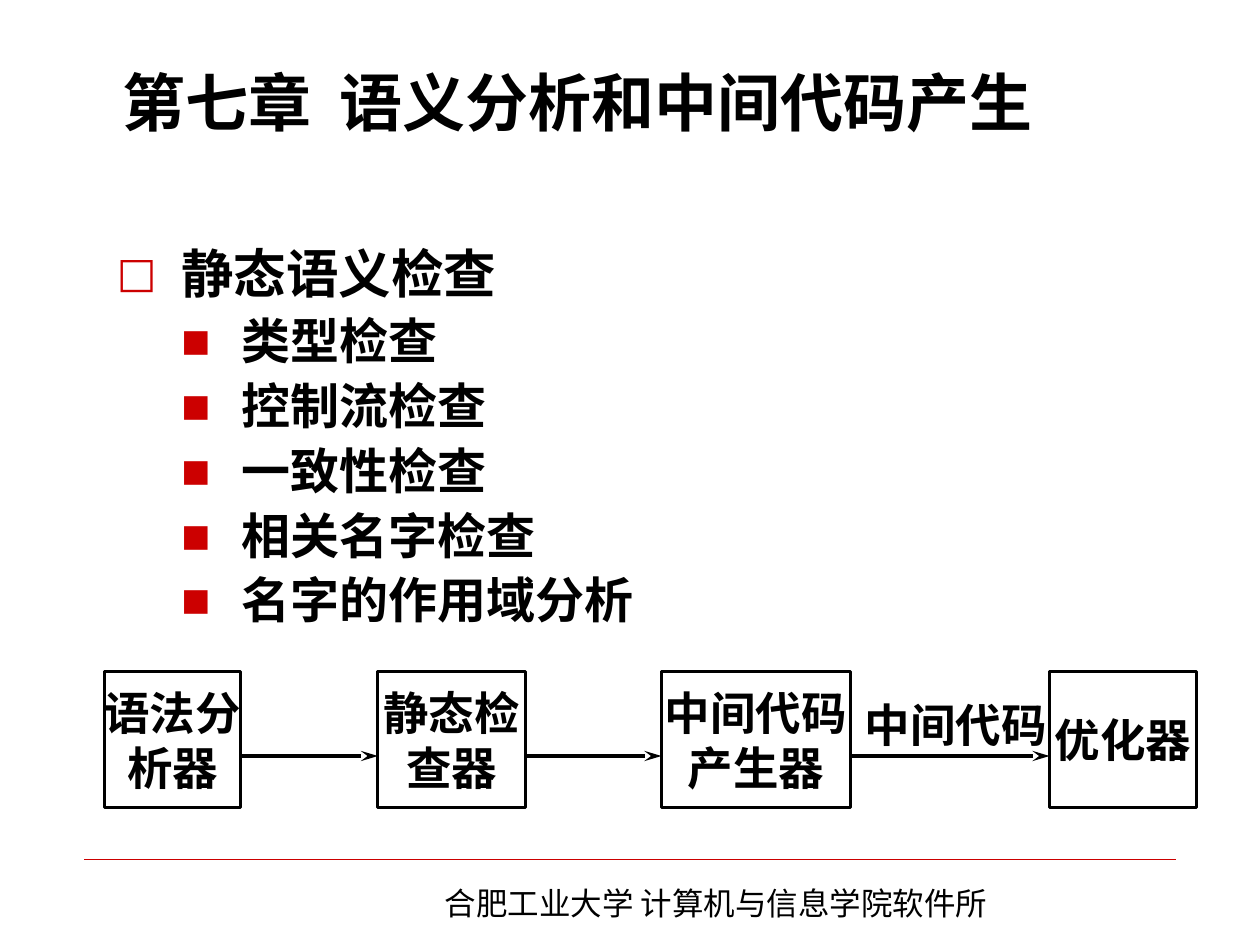
from lxml import etree
from pptx import Presentation
from pptx.dml.color import RGBColor
from pptx.enum.shapes import MSO_CONNECTOR as Connector, MSO_SHAPE as Shape
from pptx.enum.text import MSO_ANCHOR as Anchor, PP_ALIGN as Align
from pptx.oxml.ns import qn
from pptx.util import Inches, Pt

BLACK, RED = "000000", "CC0000"
SERIF, SANS, CJK = "Times New Roman", "DejaVu Sans", "Noto Sans CJK SC"
STAGE_TOP, STAGE_HEIGHT, FLOW_Y = 5.33, 1.08, 6
# left, width, lines of text
STAGES = [
    (0.83, 1.08, ["语法分", "析器"]),
    (3, 1.17, ["静态检", "查器"]),
    (5.25, 1.5, ["中间代码", "产生器"]),
    (8.33, 1.17, ["优化器"]),
]
CHECKS = ["类型检查", "控制流检查", "一致性检查", "相关名字检查", "名字的作用域分析"]


def color(hex_code):
    return RGBColor.from_string(hex_code)


def style(para, size, face=SERIF, bold=True):
    font = para.font
    font.size, font.name, font.bold = Pt(size), face, bold
    font.color.rgb = color(BLACK)


def write(frame, lines, size, face=SERIF, bold=True, align=Align.LEFT):
    """Put one paragraph per line into the frame, all in the same style."""
    for index, line in enumerate(lines):
        para = frame.paragraphs[0] if index == 0 else frame.add_paragraph()
        para.text = line
        para.alignment = align
        style(para, size, face, bold)


def add_box(page, left, top, width, height, anchor=Anchor.TOP, wrap=True):
    box = page.shapes.add_textbox(*map(Inches, (left, top, width, height)))
    frame = box.text_frame
    frame.word_wrap, frame.vertical_anchor = wrap, anchor
    return frame


def add_bullet(para, mark, percent, margin, hang):
    props = para._p.get_or_add_pPr()
    props.set("marL", str(Inches(margin)))
    props.set("indent", str(-Inches(hang)))
    tint = etree.SubElement(props, qn("a:buClr"))
    etree.SubElement(tint, qn("a:srgbClr"), val=RED)
    etree.SubElement(props, qn("a:buSzPct"), val=str(percent * 1000))
    etree.SubElement(props, qn("a:buFont"), typeface=SANS)
    etree.SubElement(props, qn("a:buChar"), char=mark)


def add_outline(page):
    frame = add_box(page, 0.83, 1.92, 8.58, 3.17)
    for index, line in enumerate(["静态语义检查"] + CHECKS):
        para = frame.add_paragraph() if index else frame.paragraphs[0]
        para.text = line
        para.line_spacing = 0.9
        if index:
            para.level = 1
            para.space_before = Pt(6 if index == len(CHECKS) else 7)
            add_bullet(para, "■", 63, 0.99, 0.48)
        else:
            add_bullet(para, "□", 80, 0.51, 0.51)
        style(para, 28 if index else 30)


def add_stage(page, left, width, lines):
    stage = page.shapes.add_shape(
        Shape.RECTANGLE, *map(Inches, (left, STAGE_TOP, width, STAGE_HEIGHT)))
    stage.shadow.inherit = False
    stage.fill.background()
    stage.line.color.rgb = color(BLACK)
    stage.line.width = Pt(1.75)
    frame = stage.text_frame
    frame.word_wrap, frame.vertical_anchor = False, Anchor.MIDDLE
    write(frame, lines, 26, align=Align.CENTER)


def add_flow_label(page, left, right, text):
    """Centre a label above the arrow, using the whole gap between two stages."""
    frame = add_box(page, left, STAGE_TOP, right - left, 0.83, Anchor.MIDDLE, wrap=False)
    frame.margin_left = frame.margin_right = 0
    write(frame, [text], 26, align=Align.CENTER)


def add_line(page, start, end, y, tint, weight, arrow=False):
    line = page.shapes.add_connector(
        Connector.STRAIGHT, *map(Inches, (start, y, end, y)))
    line.line.color.rgb = color(tint)
    line.line.width = Pt(weight)
    etree.SubElement(line._element.spPr, qn("a:effectLst"))
    if arrow:
        etree.SubElement(line.line._get_or_add_ln(), qn("a:tailEnd"),
                         type="stealth", len="lg")


def main():
    deck = Presentation()
    deck.slide_width, deck.slide_height = Inches(10), Inches(7.5)
    page = deck.slides.add_slide(deck.slide_layouts[6])

    add_line(page, 0.67, 9.33, 6.82, RED, 0.25)
    footer = add_box(page, 3.43, 6.97, 5.04, 0.4)
    write(footer, ["合肥工业大学 计算机与信息学院软件所"], 18, CJK, bold=False)
    title = add_box(page, 0.87, 0.35, 8.19, 0.91, Anchor.MIDDLE)
    write(title, ["第七章  语义分析和中间代码产生"], 36, SANS)
    add_outline(page)

    for stage in STAGES:
        add_stage(page, *stage)
    for (left, width, _), (following, _, _) in zip(STAGES, STAGES[1:]):
        add_line(page, left + width, following, FLOW_Y, BLACK, 1.75, arrow=True)
    add_flow_label(page, 6.84, 8.33, "中间代码")

    deck.save("out.pptx")


if __name__ == "__main__":
    main()
